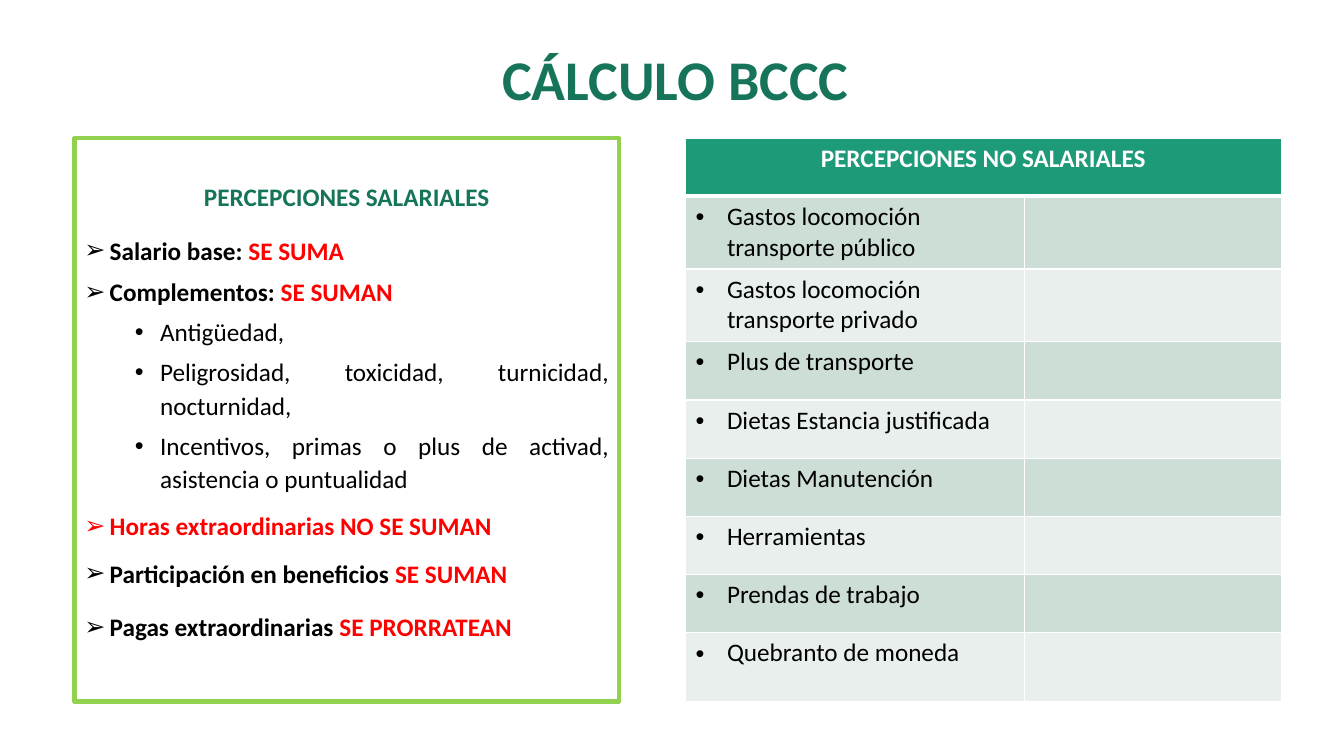
from lxml import etree
from pptx import Presentation
from pptx.dml.color import RGBColor
from pptx.enum.shapes import MSO_SHAPE as SHAPE
from pptx.enum.text import MSO_ANCHOR as ANCHOR, PP_ALIGN as ALIGN
from pptx.oxml.ns import qn
from pptx.util import Pt

FONT = "Calibri"
GREEN, RED, BLACK, WHITE = "16745A", "FF0000", "000000", "FFFFFF"
LIME, HEADER, BANDS = "92D050", "1D9A78", ("CDDED6", "E8EFEC")

TITLE = "CÁLCULO BCCC"
SALARY_TITLE = "PERCEPCIONES SALARIALES"
# level, line spacing, runs as (text, colour)
SALARY = [
    (0, 1.3, [("Salario base: ", BLACK), ("SE SUMA", RED)]),
    (0, 0.9, [("Complementos: ", BLACK), ("SE SUMAN", RED)]),
    (1, 1.1, [("Antigüedad, ", BLACK)]),
    (1, 1.1, [("Peligrosidad, toxicidad, turnicidad, nocturnidad, ", BLACK)]),
    (1, 1.1, [("Incentivos, primas o plus de activad, asistencia o puntualidad", BLACK)]),
    (0, 1.1, [("Horas extraordinarias NO SE SUMAN", RED)]),
    (0, 1.1, [("Participación en beneficios ", BLACK), ("SE SUMAN", RED)]),
    (0, 1.3, [("Pagas extraordinarias ", BLACK), ("SE PRORRATEAN", RED)]),
]
# bullet, indent, space before, bold
LEVELS = [("➢", 18, 10, True), ("•", 54, 5, False)]
NON_SALARY_TITLE = "PERCEPCIONES NO SALARIALES"
NON_SALARY = [
    "Gastos locomoción transporte público",
    "Gastos locomoción transporte privado",
    "Plus de transporte",
    "Dietas Estancia justificada",
    "Dietas Manutención",
    "Herramientas",
    "Prendas de trabajo",
    "Quebranto de moneda",
]
COLS = [242, 183.5]
ROWS = [41.6, 52, 52] + [41.6] * 5 + [49.4]
TOP, HEIGHT = 98.6, 402.5


def rgb(value):
    return RGBColor.from_string(value)


def add_run(p, text, color, bold=False, size=18):
    r = p.add_run()
    r.text = text
    r.font.name, r.font.size, r.font.bold = FONT, Pt(size), bold
    r.font.color.rgb = rgb(color)


def set_bullet(p, char, indent, hang):
    pPr = p._p.get_or_add_pPr()
    pPr.set("marL", str(Pt(indent)))
    pPr.set("indent", str(-Pt(hang)))
    etree.SubElement(pPr, qn("a:buFont")).set("typeface", "Arial")
    etree.SubElement(pPr, qn("a:buChar")).set("char", char)


def style_cell(cell, fill, bottom=1):
    """White borders and a solid fill."""
    tcPr = cell._tc.get_or_add_tcPr()
    for side, width in (("L", 1), ("R", 1), ("T", 1), ("B", bottom)):
        ln = etree.SubElement(tcPr, qn("a:ln" + side), w=str(Pt(width)))
        solid = etree.SubElement(ln, qn("a:solidFill"))
        etree.SubElement(solid, qn("a:srgbClr")).set("val", WHITE)
    cell.fill.solid()
    cell.fill.fore_color.rgb = rgb(fill)


def add_title(s):
    tf = s.shapes.add_textbox(Pt(86.4), Pt(22.3), Pt(792), Pt(72.7)).text_frame
    tf.word_wrap = True
    tf.vertical_anchor = ANCHOR.MIDDLE
    p = tf.paragraphs[0]
    p.alignment, p.line_spacing = ALIGN.CENTER, 0.9
    add_run(p, TITLE, GREEN, True, 40)


def add_salary_box(s):
    sp = s.shapes.add_shape(SHAPE.RECTANGLE, Pt(53.3), Pt(TOP), Pt(388.8), Pt(HEIGHT))
    sp.shadow.inherit = False
    sp.fill.solid()
    sp.fill.fore_color.rgb = rgb(WHITE)
    sp.line.color.rgb = rgb(LIME)
    sp.line.width = Pt(3)
    tf = sp.text_frame
    tf.word_wrap = True
    tf.vertical_anchor = ANCHOR.TOP
    tf.margin_top = Pt(33.4)
    p = tf.paragraphs[0]
    p.alignment, p.line_spacing = ALIGN.CENTER, 0.9
    add_run(p, SALARY_TITLE, GREEN, True)
    for level, spacing, runs in SALARY:
        char, indent, before, bold = LEVELS[level]
        p = tf.add_paragraph()
        p.level, p.alignment = level, ALIGN.JUSTIFY
        p.line_spacing, p.space_before = spacing, Pt(before)
        set_bullet(p, char, indent, 18)
        for text, color in runs:
            add_run(p, text, color, bold)


def add_non_salary_table(s):
    table = s.shapes.add_table(len(ROWS), len(COLS), Pt(489.6), Pt(TOP),
                               Pt(sum(COLS)), Pt(HEIGHT)).table
    table.first_row = table.horz_banding = False
    for col, width in zip(table.columns, COLS):
        col.width = Pt(width)
    for row, height in zip(table.rows, ROWS):
        row.height = Pt(height)
    header = table.cell(0, 0)
    header.merge(table.cell(0, 1))
    for cell in table.rows[0].cells:
        style_cell(cell, HEADER, bottom=3)
    p = header.text_frame.paragraphs[0]
    p.alignment = ALIGN.CENTER
    add_run(p, NON_SALARY_TITLE, WHITE, True)
    for i, text in enumerate(NON_SALARY):
        cells = table.rows[i + 1].cells
        for cell in cells:
            style_cell(cell, BANDS[i % 2])
        p = cells[0].text_frame.paragraphs[0]
        set_bullet(p, "•", 22.5, 22.5)
        add_run(p, text, BLACK)


def main():
    prs = Presentation()
    prs.slide_width, prs.slide_height = Pt(960), Pt(540)
    s = prs.slides.add_slide(prs.slide_layouts[6])
    add_title(s)
    add_salary_box(s)
    add_non_salary_table(s)
    prs.save("out.pptx")


if __name__ == "__main__":
    main()
